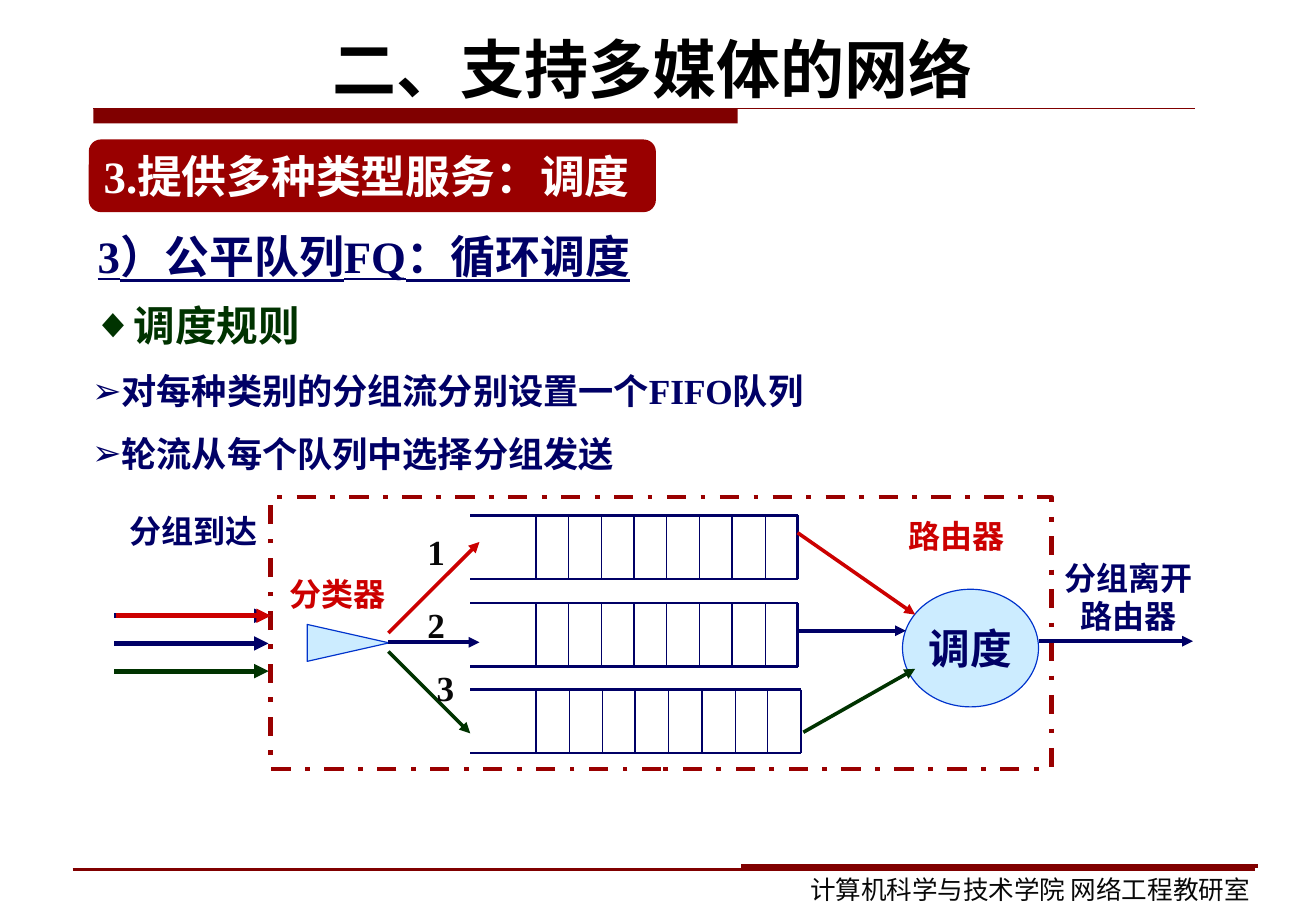
from lxml import etree
from pptx import Presentation
from pptx import util as u
from pptx.dml.color import RGBColor
from pptx.enum import dml, shapes, text
from pptx.oxml import ns

SCALE = 9144  # EMU per px, at 100 px to the inch
SERIF, SANS = "Times New Roman", "Arial"

BLACK = RGBColor(0x00, 0x00, 0x00)
INK = RGBColor(0x08, 0x08, 0x08)
WHITE = RGBColor(0xFF, 0xFF, 0xFF)
NAVY = RGBColor(0x00, 0x00, 0x66)
GREEN = RGBColor(0x00, 0x33, 0x00)
RED = RGBColor(0xCC, 0x00, 0x00)
CRIMSON = RGBColor(0x99, 0x00, 0x00)
MAROON = RGBColor(0x80, 0x00, 0x00)
BLUE = RGBColor(0x00, 0x33, 0xCC)
SKY = RGBColor(0xCC, 0xEC, 0xFF)

SHAPE = shapes.MSO_SHAPE
CENTER = text.PP_ALIGN.CENTER
LEFT = text.PP_ALIGN.LEFT


def px(value):
    return u.Emu(value * SCALE)


def apply(target, formats):
    for name, value in formats.items():
        setattr(target, name, value)


class Painter:
    def __init__(self, page):
        self.page = page

    def paragraph(self, para, words, size, color, font=SERIF, bold=True,
                  underline=False, align=LEFT, before=0, spacing=1.0):
        apply(para, {"alignment": align, "space_before": u.Pt(before),
                     "line_spacing": spacing})
        span = para.add_run()
        span.text = words
        apply(span.font, {"name": font, "size": u.Pt(size), "bold": bold,
                          "underline": underline})
        span.font.color.rgb = color

    def frame(self, box, anchor, wrap=True, side=10):
        frame = box.text_frame
        apply(frame, {"word_wrap": wrap, "vertical_anchor": anchor,
                      "auto_size": text.MSO_AUTO_SIZE.NONE,
                      "margin_left": px(side), "margin_right": px(side),
                      "margin_top": px(5), "margin_bottom": px(5)})
        return frame

    def place(self, box, left, top, width, height):
        apply(box, {"left": px(left), "top": px(top),
                    "width": px(width), "height": px(height)})

    def title(self, place, words, **style):
        box = self.page.shapes.title
        self.place(box, *place)
        frame = self.frame(box, text.MSO_ANCHOR.MIDDLE, side=11)
        self.paragraph(frame.paragraphs[0], words, **style)

    def bullets(self, place, items):
        box = self.page.placeholders[1]
        self.place(box, *place)
        frame = self.frame(box, text.MSO_ANCHOR.TOP)
        for number, (mark, words, size, color) in enumerate(items):
            para = frame.add_paragraph() if number else frame.paragraphs[0]
            self.paragraph(para, words, size, color, before=6, spacing=1.25)
            props = para._p.get_or_add_pPr()
            props.set("marL", "0")
            props.set("indent", "0")
            etree.SubElement(props, ns.qn("a:buChar")).set("char", mark)

    def label(self, place, words, **style):
        box = self.page.shapes.add_textbox(*map(px, place))
        frame = self.frame(box, text.MSO_ANCHOR.TOP)
        self.paragraph(frame.paragraphs[0], words, **style)

    def shape(self, kind, place, fill=None, line=None, width=0.75, dash=None,
              turn=0, words=None, **style):
        box = self.page.shapes.add_shape(kind, *map(px, place))
        box.shadow.inherit = False
        box.rotation = turn
        if fill is None:
            box.fill.background()
        else:
            box.fill.solid()
            box.fill.fore_color.rgb = fill
        if line is None:
            box.line.fill.background()
        else:
            box.line.color.rgb = line
            apply(box.line, {"width": u.Pt(width), "dash_style": dash})
        if words:
            frame = self.frame(box, text.MSO_ANCHOR.MIDDLE, wrap=False)
            self.paragraph(frame.paragraphs[0], words, **style)

    def line(self, ends, color, width, arrow=False):
        link = self.page.shapes.add_connector(
            shapes.MSO_CONNECTOR.STRAIGHT, *map(px, ends))
        link.line.color.rgb = color
        link.line.width = u.Pt(width)
        if arrow:
            tail = etree.SubElement(link.line._get_or_add_ln(), ns.qn("a:tailEnd"))
            tail.set("type", "triangle")
        etree.SubElement(link._element.spPr, ns.qn("a:effectLst"))

    def queue(self, right, top, left=408, height=55, cells=8):
        bottom = top + height
        for y in (top, bottom):
            self.line((left, y, right, y), NAVY, 1.5)
        self.line((right, top, right, bottom), NAVY, 1.5)
        for cell in range(1, cells + 1):
            x = right - round(cell * (right - left) / (cells + 2))
            self.line((x, top, x, bottom), NAVY, 0.75)


def main():
    deck = Presentation()
    deck.slide_width, deck.slide_height = u.Cm(29), u.Cm(20)
    page = deck.slides.add_slide(deck.slide_layouts[1])
    paint = Painter(page)

    # Title and its rule
    paint.title((61, 3, 1010, 111), "二、支持多媒体的网络",
                size=40, color=BLACK, align=CENTER)
    paint.shape(SHAPE.RECTANGLE, (81, 94, 559, 13), fill=MAROON)
    paint.line((81, 94, 1037, 94), MAROON, 0.75)

    # Headings and rules of scheduling
    paint.shape(SHAPE.ROUNDED_RECTANGLE, (77, 121, 492, 63), fill=CRIMSON,
                words="3.提供多种类型服务：调度", size=28, color=WHITE, before=17.5)
    paint.label((75, 189, 1024, 62), "3）公平队列FQ：循环调度", size=28,
                color=NAVY, underline=True, before=7, spacing=1.1)
    paint.bullets((70, 244, 1000, 173), [
        ("◆", "调度规则", 26, GREEN),
        ("➢", "对每种类别的分组流分别设置一个FIFO队列", 22, NAVY),
        ("➢", "轮流从每个队列中选择分组发送", 22, NAVY),
    ])

    # Queues, scheduler and classifier
    for right, top in ((692, 447), (692, 523), (695, 598)):
        paint.queue(right, top)
    paint.shape(SHAPE.OVAL, (783, 511, 118, 102), fill=SKY, line=BLUE,
                words="调度", size=26, color=NAVY, font=SANS, align=CENTER)
    paint.shape(SHAPE.ISOSCELES_TRIANGLE, (286, 522, 32, 71), fill=SKY,
                line=BLUE, turn=90)

    # Router outline
    paint.shape(SHAPE.RECTANGLE, (235, 431, 677, 236), line=CRIMSON, width=3,
                dash=dml.MSO_LINE.DASH_DOT)

    # Flows between the parts
    for ends, color in (
        ((692, 462, 794, 533), RED),
        ((692, 547, 786, 547), NAVY),
        ((697, 635, 794, 580), GREEN),
        ((901, 556, 1035, 556), NAVY),
        ((337, 549, 416, 470), RED),
        ((337, 557, 416, 557), NAVY),
        ((337, 565, 408, 636), GREEN),
    ):
        paint.line(ends, color, 2.25, arrow=True)

    # Arriving flows
    for left, y, color in ((99, 534, NAVY), (101, 534, RED),
                           (99, 558, NAVY), (99, 582, GREEN)):
        paint.line((left, y, left + 134, y), color, 3, arrow=True)

    # Labels
    for left, top, height, words, color in (
        (912, 479, 77, "分组离开路由器", NAVY),
        (101, 439, 44, "分组到达", NAVY),
        (226, 493, 44, "分类器", RED),
        (763, 443, 44, "路由器", RED),
    ):
        paint.label((left, top, 134, height), words, size=20, color=color,
                    font=SANS, align=CENTER, before=12.5)
    for left, top, number in ((361, 455, "1"), (361, 518, "2"), (369, 573, "3")):
        paint.label((left, top, 39, 47), number, size=22, color=INK, before=13.8)

    # Footer
    paint.line((63, 754, 1089, 754), MAROON, 1.5)
    paint.line((643, 751, 1091, 751), MAROON, 2.25)
    paint.label((693, 753, 420, 37), "计算机科学与技术学院 网络工程教研室",
                size=16, color=INK, font=SANS, bold=False, before=10)

    deck.save("out.pptx")


if __name__ == "__main__":
    main()
